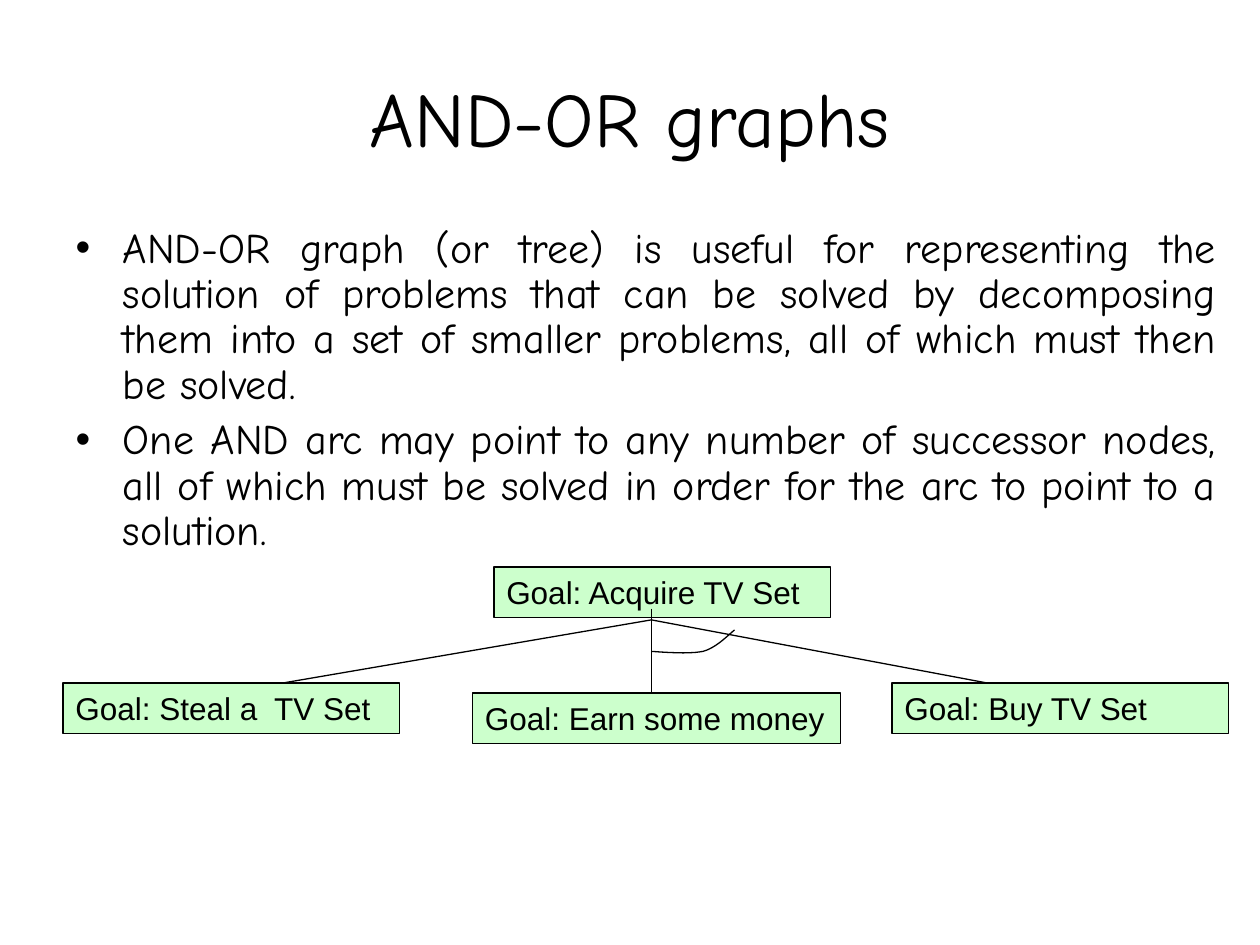
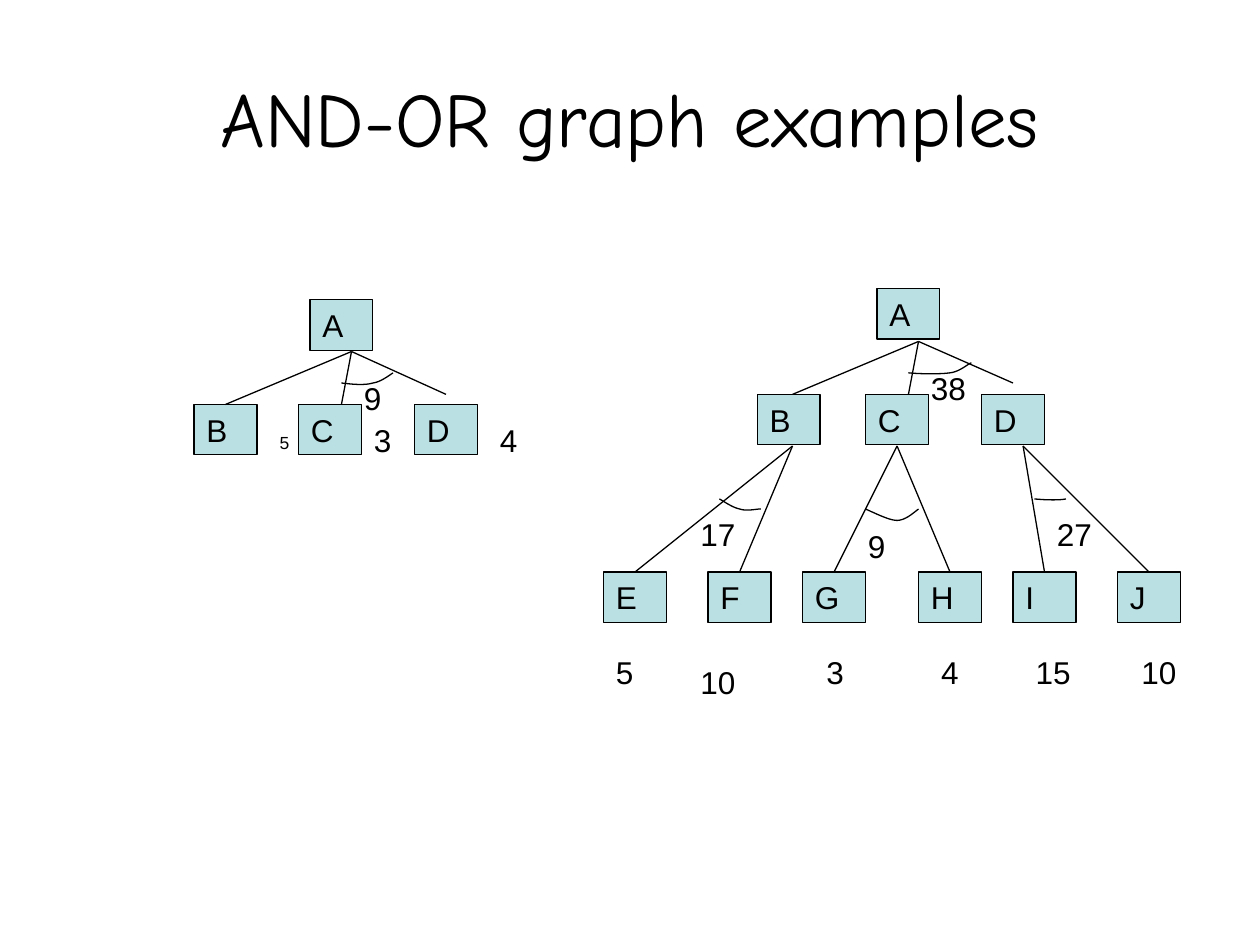
from lxml.etree import SubElement
from pptx import Presentation
from pptx.dml.color import RGBColor
from pptx.enum.shapes import MSO_CONNECTOR, MSO_SHAPE
from pptx.enum.text import MSO_ANCHOR, MSO_AUTO_SIZE, PP_ALIGN
from pptx.oxml.ns import qn
from pptx.util import Inches, Pt

BLACK, GREEN, TEAL = "000000", "CCFFCC", "BBE0E3"
TITLE = {"name": "Comic Neue", "size": Pt(44)}
BODY = {"name": "Comic Neue", "size": Pt(24)}
LABEL = {"name": "Arial", "size": Pt(18)}
SMALL = {"name": "Arial", "size": Pt(10)}
ROW_HEIGHT = 0.4
CURVE_STEPS = 12


def color(hex_text):
    return RGBColor.from_string(hex_text)


def apply(target, values):
    for name, value in values.items():
        setattr(target, name, value)


def curve_points(start, segments):
    """Yield points along a chain of cubic Bezier segments."""
    for first, second, end in segments:
        for step in range(1, CURVE_STEPS + 1):
            t = step / CURVE_STEPS
            u = 1 - t
            yield tuple(
                u**3 * a + 3 * u**2 * t * b + 3 * u * t**2 * c + t**3 * d
                for a, b, c, d in zip(start, first, second, end))
        start = end


class Painter:
    def __init__(self):
        self.deck = Presentation()
        apply(self.deck, {"slide_width": Inches(10), "slide_height": Inches(7.5)})
        self.page = None

    def new_page(self, layout, title):
        self.page = self.deck.slides.add_slide(self.deck.slide_layouts[layout])
        box = self.page.shapes.title
        self.place(box, 0.5, 0.3, 9, 1.25)
        self.fill_text(box, [title], TITLE, {"alignment": PP_ALIGN.CENTER}, MSO_ANCHOR.MIDDLE)

    def place(self, box, left, top, width, height):
        apply(box, {"left": Inches(left), "top": Inches(top),
                    "width": Inches(width), "height": Inches(height)})

    def fill_text(self, box, texts, font, layout, anchor=MSO_ANCHOR.TOP):
        frame = box.text_frame
        apply(frame, {"word_wrap": True, "auto_size": MSO_AUTO_SIZE.NONE,
                      "vertical_anchor": anchor})
        for index, text in enumerate(texts):
            para = frame.add_paragraph() if index else frame.paragraphs[0]
            apply(para, layout)
            if index == 0:
                para.space_before = Pt(0)
            span = para.add_run()
            span.text = text
            apply(span.font, font)
            span.font.color.rgb = color(BLACK)

    def bullets(self, texts):
        box = self.page.placeholders[1]
        self.place(box, 0.5, 1.75, 9.25, 2.75)
        self.fill_text(box, texts, BODY, {"alignment": PP_ALIGN.JUSTIFY,
                                          "line_spacing": 0.9, "space_before": Pt(6)})

    def outline(self, shape):
        shape.line.color.rgb = color(BLACK)
        shape.line.width = Pt(0.75)

    def node(self, text, left, top, width, fill):
        box = self.page.shapes.add_shape(
            MSO_SHAPE.RECTANGLE, Inches(left), Inches(top), Inches(width), Inches(ROW_HEIGHT))
        box.shadow.inherit = False
        box.fill.solid()
        box.fill.fore_color.rgb = color(fill)
        self.outline(box)
        self.fill_text(box, [text], LABEL, {"alignment": PP_ALIGN.LEFT})

    def number(self, text, left, top, width, font=LABEL, height=ROW_HEIGHT):
        box = self.page.shapes.add_textbox(
            Inches(left), Inches(top), Inches(width), Inches(height))
        self.fill_text(box, [text], font, {"alignment": PP_ALIGN.LEFT})

    def line(self, start, end):
        link = self.page.shapes.add_connector(
            MSO_CONNECTOR.STRAIGHT, *map(Inches, start + end))
        self.outline(link)
        SubElement(link._element.spPr, qn("a:effectLst"))

    def fan(self, apex, ends):
        for end in ends:
            self.line(apex, end)

    def arc(self, start, *segments):
        builder = self.page.shapes.build_freeform(*map(Inches, start))
        points = [tuple(map(Inches, point)) for point in curve_points(start, segments)]
        builder.add_line_segments(points, close=False)
        curve = builder.convert_to_shape()
        curve.shadow.inherit = False
        curve.fill.background()
        self.outline(curve)


def goals_page(painter):
    painter.new_page(1, "AND-OR graphs")
    painter.bullets([
        "AND-OR graph (or tree) is useful for representing the solution of problems that "
        "can be solved by decomposing them into a set of smaller problems, all of which "
        "must then be solved.",
        "One AND arc may point to any number of successor nodes, all of which must be "
        "solved in order for the arc to point to a solution.",
    ])
    # Goal boxes
    for text, left, top, width in [
        ("Goal: Acquire TV Set", 3.92, 4.5, 2.67),
        ("Goal: Steal a  TV Set", 0.5, 5.42, 2.67),
        ("Goal: Earn some money", 3.75, 5.5, 2.92),
        ("Goal: Buy TV Set", 7.08, 5.42, 2.67),
    ]:
        painter.node(text, left, top, width, GREEN)
    # Links and AND arc
    painter.fan((5.17, 4.92), [(2.25, 5.42), (7.83, 5.42)])
    painter.line((5.17, 4.83), (5.17, 5.5))
    painter.arc((5.17, 5.17), ((5.32, 5.18), (5.47, 5.19), (5.58, 5.17)),
                ((5.69, 5.14), (5.79, 5.03), (5.83, 5)))


def examples_page(painter):
    painter.new_page(5, "AND-OR graph examples")
    # Nodes, one row at a time
    for top, row in [
        (2.38, {"A": 2.46}),
        (3.21, {"B": 1.54, "C": 2.37, "D": 3.29}),
        (2.29, {"A": 6.96}),
        (3.13, {"B": 6.01, "C": 6.87, "D": 7.79}),
        (4.54, {"E": 4.79, "F": 5.62, "G": 6.37, "H": 7.29, "I": 8.04, "J": 8.87}),
    ]:
        for letter, left in row.items():
            painter.node(letter, left, top, 0.5, TEAL)
    # Links from each parent
    painter.fan((2.79, 2.79), [(1.79, 3.21), (2.71, 3.21), (3.54, 3.13)])
    painter.fan((7.29, 2.71), [(6.29, 3.13), (7.21, 3.13), (8.04, 3.04)])
    for parent, children in [(6.29, (5.04, 5.87)), (7.12, (6.62, 7.54)), (8.12, (8.29, 9.12))]:
        painter.fan((parent, 3.54), [(child, 4.54) for child in children])
    # AND arcs
    painter.arc((2.71, 3.04), ((2.8, 3.05), (2.89, 3.06), (2.96, 3.04)),
                ((3.03, 3.03), (3.1, 2.97), (3.12, 2.96)))
    painter.arc((5.71, 3.96), ((5.76, 3.99), (5.82, 4.03), (5.87, 4.04)),
                ((5.93, 4.06), (6, 4.04), (6.04, 4.04)))
    painter.arc((6.87, 4.04), ((6.96, 4.08), (7.06, 4.13), (7.12, 4.13)),
                ((7.19, 4.13), (7.26, 4.06), (7.29, 4.04)))
    painter.arc((8.21, 3.96), ((8.31, 3.97), (8.42, 3.97), (8.46, 3.96)))
    painter.arc((7.21, 2.96), ((7.33, 2.97), (7.46, 2.97), (7.54, 2.96)),
                ((7.62, 2.95), (7.68, 2.89), (7.71, 2.88)))
    # Costs of the small tree
    painter.number("5", 2.12, 3.38, 0.25, SMALL, 0.27)
    for text, left, top, width in [
        ("3", 2.87, 3.29, 0.33), ("4", 3.87, 3.29, 0.33), ("9", 2.79, 2.96, 0.42),
        # Leaf costs of the large tree
        ("5", 4.79, 5.13, 0.42), ("10", 5.46, 5.21, 0.58), ("3", 6.46, 5.13, 0.42),
        ("4", 7.37, 5.13, 0.42), ("15", 8.12, 5.13, 0.58), ("10", 8.96, 5.13, 0.5),
        # Arc costs of the large tree
        ("17", 5.46, 4.04, 0.58), ("9", 6.79, 4.13, 0.42),
        ("27", 8.29, 4.04, 0.67), ("38", 7.29, 2.88, 0.58),
    ]:
        painter.number(text, left, top, width)


def main():
    painter = Painter()
    goals_page(painter)
    examples_page(painter)
    painter.deck.save("out.pptx")


if __name__ == "__main__":
    main()
